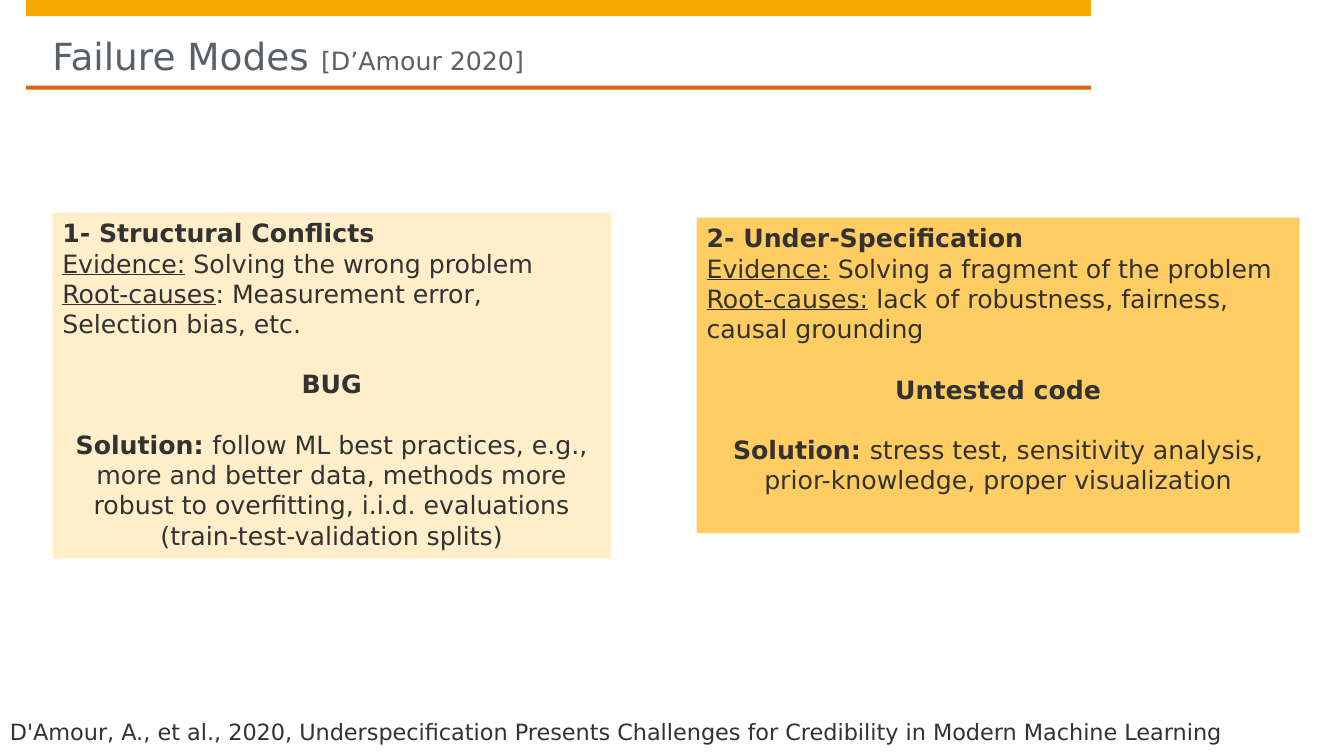
"""Build the slide on the two failure modes of machine learning models."""
from pptx import Presentation
from pptx.dml.color import RGBColor
from pptx.enum.shapes import MSO_SHAPE
from pptx.enum.text import MSO_ANCHOR, PP_ALIGN
from pptx.util import Inches, Pt

FONT = "DejaVu Sans"
TEXT_COLOR = "323232"
LINE_HEIGHT = Pt(21.6)


def add_rectangle(left, top, width, height, color):
    shape = slide.shapes.add_shape(MSO_SHAPE.RECTANGLE, Inches(left), Inches(top),
                                   Inches(width), Inches(height))
    shape.shadow.inherit = False
    shape.fill.solid()
    shape.fill.fore_color.rgb = RGBColor.from_string(color)
    shape.line.fill.background()
    return shape


def add_run(paragraph, text, size, color=TEXT_COLOR, style=""):
    run = paragraph.add_run()
    run.text = text
    run.font.name = FONT
    run.font.size = Pt(size)
    run.font.color.rgb = RGBColor.from_string(color)
    run.font.bold = style == "bold"
    run.font.underline = style == "underline"


presentation = Presentation()
presentation.slide_width = Inches(13.33)
presentation.slide_height = Inches(7.5)
slide = presentation.slides.add_slide(presentation.slide_layouts[5])

add_rectangle(0.26, 0, 10.56, 0.16, "F6A800")
add_rectangle(0.26, 0.85, 10.56, 0.04, "DD640C")

title = slide.shapes.title
title.left, title.top = Inches(0.52), Inches(0.16)
title.width, title.height = Inches(10.03), Inches(0.63)
title_frame = title.text_frame
title_frame.margin_left = title_frame.margin_right = title_frame.margin_bottom = 0
title_frame.margin_top = Inches(0.16)
title_frame.vertical_anchor = MSO_ANCHOR.MIDDLE
title_paragraph = title_frame.paragraphs[0]
title_paragraph.alignment = PP_ALIGN.LEFT
add_run(title_paragraph, "Failure Modes ", 26.7, "5A6166")
add_run(title_paragraph, "[D’Amour 2020]", 18, "5A6166")

reference = slide.shapes.add_textbox(0, Inches(7.08), Inches(13.33), Inches(0.37))
reference.text_frame.word_wrap = True
add_run(reference.text_frame.paragraphs[0],
        "D'Amour, A., et al., 2020, Underspecification Presents Challenges for "
        "Credibility in Modern Machine Learning", 16)

failure_modes = [
    ((0.52, 2.11, 5.54, 3.43), "FFEECA", "1- Structural Conflicts",
     "Solving the wrong problem",
     "Root-causes", ": Measurement error, Selection bias, etc.",
     "BUG",
     "follow ML best practices, e.g., more and better data, methods more robust to "
     "overfitting, i.i.d. evaluations (train-test-validation splits)"),
    ((6.91, 2.16, 5.98, 3.13), "FFCD61", "2- Under-Specification",
     "Solving a fragment of the problem",
     "Root-causes:", " lack of robustness, fairness, causal grounding",
     "Untested code",
     "stress test, sensitivity analysis, prior-knowledge, proper visualization"),
]

for box, color, heading, evidence, cause_label, causes, analogy, solution in failure_modes:
    text_frame = add_rectangle(*box, color).text_frame
    text_frame.word_wrap = True
    text_frame.vertical_anchor = MSO_ANCHOR.TOP
    paragraphs = [
        (PP_ALIGN.LEFT, [(heading, "bold")]),
        (PP_ALIGN.LEFT, [("Evidence:", "underline"), (" " + evidence, "")]),
        (PP_ALIGN.LEFT, [(cause_label, "underline"), (causes, "")]),
        (PP_ALIGN.CENTER, [(analogy, "bold")]),
        (PP_ALIGN.CENTER, [("Solution: ", "bold"), (solution, "")]),
    ]
    for index, (alignment, runs) in enumerate(paragraphs):
        paragraph = text_frame.paragraphs[0] if index == 0 else text_frame.add_paragraph()
        paragraph.alignment = alignment
        paragraph.line_spacing = 1.0
        if alignment == PP_ALIGN.CENTER:
            paragraph.space_before = LINE_HEIGHT
        for text, style in runs:
            add_run(paragraph, text, 18, style=style)

presentation.save("out.pptx")
